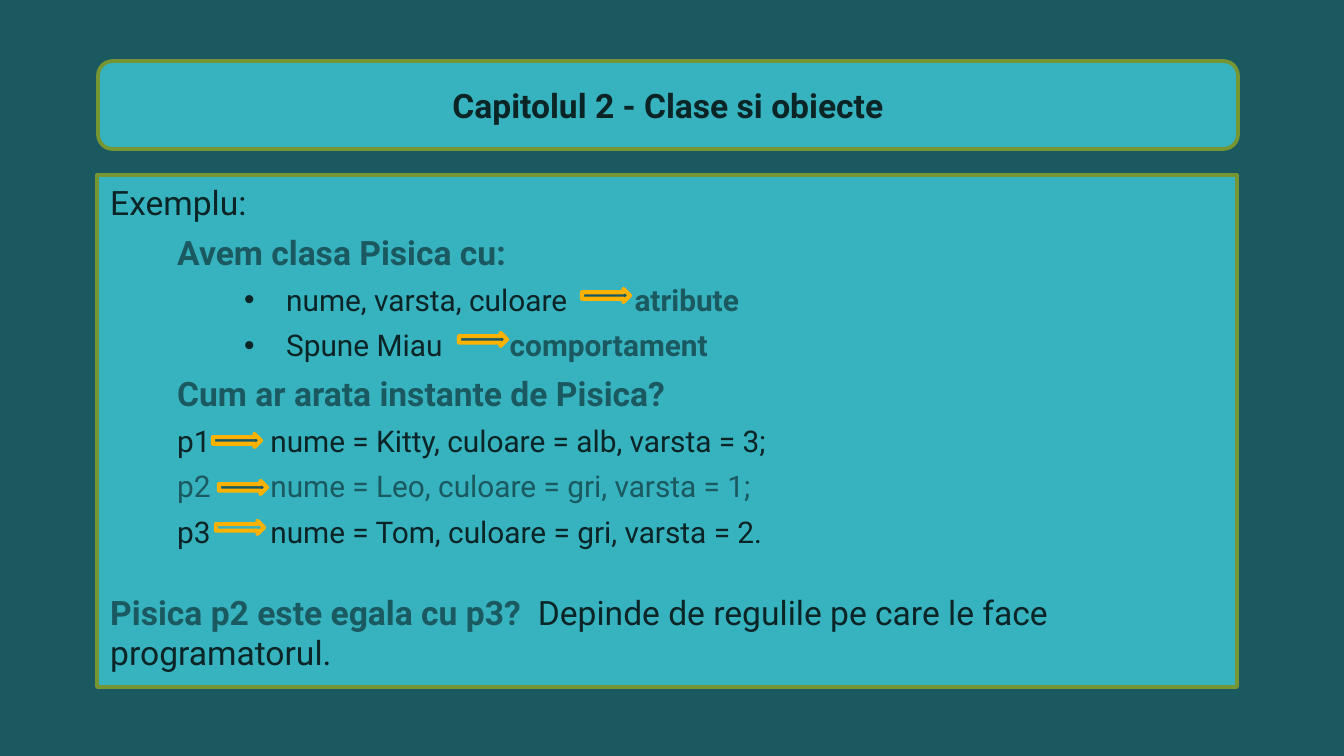
from pptx import Presentation
from pptx import util as u
from pptx.dml.color import RGBColor
from pptx.enum import shapes, text
from pptx.oxml.ns import qn
from lxml import etree

PX = 914400 / 134.4
DARK = RGBColor(0x1B, 0x59, 0x60)
TEAL = RGBColor(0x37, 0xB2, 0xBF)
INK = RGBColor(0x0B, 0x24, 0x26)
OLIVE = RGBColor(0x76, 0x96, 0x34)
GOLD = RGBColor(0xFD, 0xB2, 0x00)
SPACE_EM = 0.25


def add_box(kind, box, fill, line, width):
    sp = s.shapes.add_shape(kind, *[round(v * PX) for v in box])
    sp.shadow.inherit = False
    sp.fill.solid()
    sp.fill.fore_color.rgb = fill
    sp.line.color.rgb = line
    sp.line.width = u.Pt(width)
    return sp


def add_run(p, words, size, color, bold, gap=1):
    r = p.add_run()
    r.text = words
    r.font.name = "Roboto"
    r.font.size = u.Pt(size)
    r.font.color.rgb = color
    r.font.bold = bold
    if gap > 1:
        r._r.get_or_add_rPr().set("spc", str(round((gap - 1) * SPACE_EM * size * 100)))


prs = Presentation()
prs.slide_width = round(1344 * PX)
prs.slide_height = round(756 * PX)
s = prs.slides.add_slide(prs.slide_layouts[6])
s.background.fill.solid()
s.background.fill.fore_color.rgb = DARK

title = add_box(shapes.MSO_SHAPE.ROUNDED_RECTANGLE, (98, 61, 1140, 88), TEAL, OLIVE, 2)
title.text_frame.word_wrap = True
title.text_frame.vertical_anchor = text.MSO_ANCHOR.MIDDLE
p = title.text_frame.paragraphs[0]
p.alignment = text.PP_ALIGN.CENTER
add_run(p, "Capitolul 2 - Clase si obiecte", 18, INK, True)

body = add_box(shapes.MSO_SHAPE.FOLDED_CORNER, (97, 175, 1140, 512), TEAL, OLIVE, 2)
fold = etree.SubElement(body._element.find(".//" + qn("a:avLst")), qn("a:gd"))
fold.set("name", "adj")
fold.set("fmla", "val 0")
tf = body.text_frame
tf.word_wrap = True
tf.vertical_anchor = text.MSO_ANCHOR.TOP

rows = [
    (0, 18, [("Exemplu:", INK, False)], 0),
    (1, 18, [("Avem clasa Pisica cu:", DARK, True)], 0),
    (2, 16, [("nume, varsta, culoare", INK, False), ("atribute", DARK, True)], 9),
    (2, 16, [("Spune Miau", INK, False), ("comportament", DARK, True)], 9),
    (1, 18, [("Cum ar arata instante de Pisica?", DARK, True)], 0),
    (1, 16, [("p1", INK, False), ("nume = Kitty, culoare = alb, varsta = 3;", INK, False)], 8),
    (1, 16, [("p2", DARK, False), ("nume = Leo, culoare = gri, varsta = 1;", DARK, False)], 8),
    (1, 16, [("p3", INK, False), ("nume = Tom, culoare = gri, varsta = 2.", INK, False)], 8),
    (0, 18, [("Pisica p2 este egala cu p3?", DARK, True),
             ("Depinde de regulile pe care le face programatorul.", INK, False)], 2),
]
indents = [(0, 0), (67, 0), (176, -42)]
for i, (level, size, parts, gap) in enumerate(rows):
    p = tf.add_paragraph() if i else tf.paragraphs[0]
    p.level = level
    p.alignment = text.PP_ALIGN.LEFT
    p.space_after = u.Pt(5.2)
    pPr = p._p.get_or_add_pPr()
    left, first = indents[level]
    pPr.set("marL", str(round(left * PX)))
    pPr.set("indent", str(round(first * PX)))
    if level == 2:
        etree.SubElement(pPr, qn("a:buFont")).set("typeface", "Arial")
        etree.SubElement(pPr, qn("a:buChar")).set("char", "•")
    for j, (words, color, bold) in enumerate(parts):
        if j:
            add_run(p, " ", size, color, False, gap)
        add_run(p, words, size, color, bold)
p.space_before = u.Pt(17.5)

arrows = [(582, 289, DARK), (459, 333, DARK), (213, 434, DARK), (219, 481, DARK), (216, 521, TEAL)]
for x, y, fill in arrows:
    add_box(shapes.MSO_SHAPE.RIGHT_ARROW, (x, y, 48, 13), fill, GOLD, 2.25)

prs.save("out.pptx")
